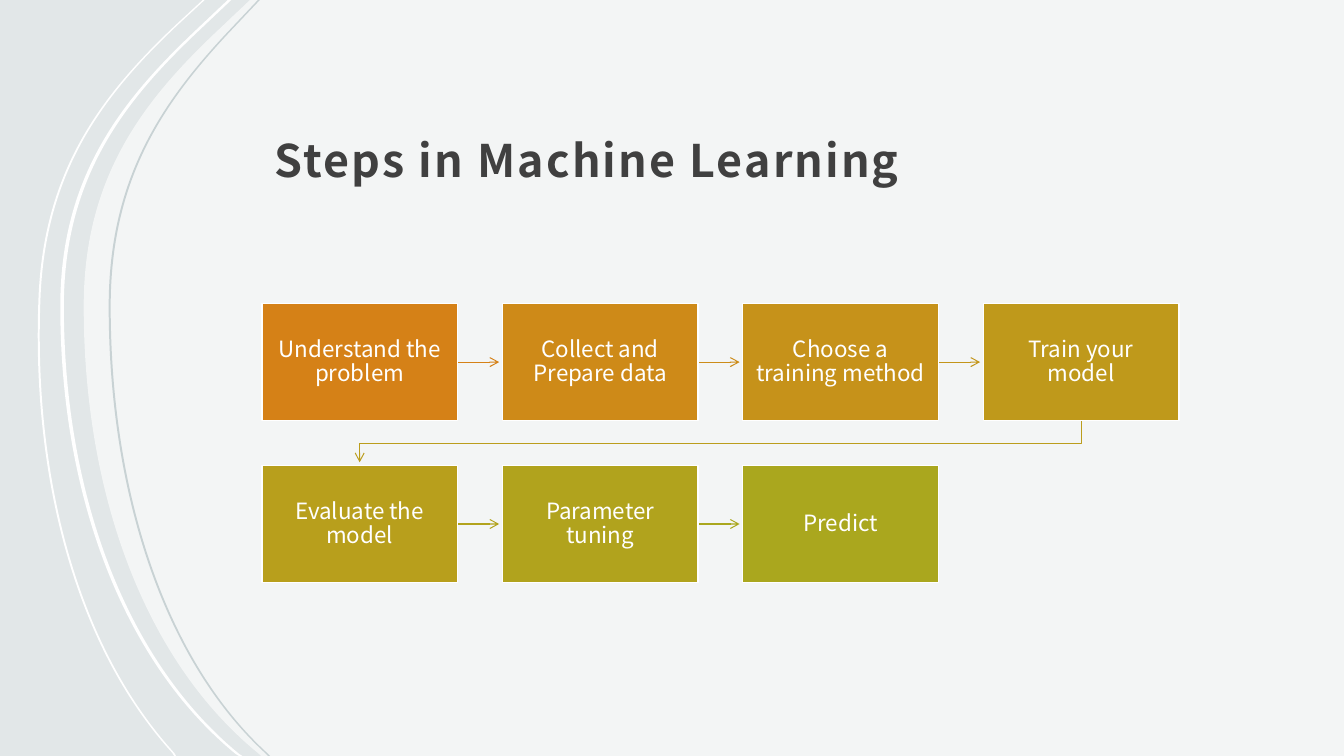
import pptx
import pptx.util
import pptx.dml.color
import pptx.enum.shapes
import pptx.enum.text
import pptx.oxml.ns
from lxml import etree

Cm, Pt = pptx.util.Cm, pptx.util.Pt
qn = pptx.oxml.ns.qn

# Content
FONT = "Noto Sans CJK JP"
HEADING = "Steps in Machine Learning"
STEPS = [  # label, box colour, colour of the arrow to the next step
    ("Understand the problem", "D58117", "D58117"),
    ("Collect and Prepare data", "CE8A18", "CC8C19"),
    ("Choose a training method", "C6921A", "C3951A"),
    ("Train your model", "BF991B", "BB9D1C"),
    ("Evaluate the model", "B89F1C", "B2A31D"),
    ("Parameter tuning", "B1A31D", "AAA71E"),
    ("Predict", "AAA71E", None),
]

# Curved edges in cm: top, shoulder, two controls, belly, two controls, foot, bottom
PANEL_EDGE = [(6.3, 0), (5.36, 0.89), (3.53, 2.64), (2.11, 4.55), (2.11, 7.72),
              (2.11, 12.5), (3.68, 16.69), (6.53, 19), (6.58, 19.05)]
RIBBONS = [  # edge, width, colour
    ([(5.11, 0), (4.45, 0.61), (2.59, 2.36), (1.09, 4.27), (0.97, 7.54),
      (0.79, 12.19), (1.98, 16.38), (4.34, 18.97), (4.39, 19.05)], 0.05, "FFFFFF"),
    ([(5.74, 0), (4.8, 0.89), (2.97, 2.64), (1.52, 4.55), (1.52, 7.72),
      (1.52, 12.5), (3.12, 16.69), (5.94, 19), (6.02, 19.05)], 0.09, "FFFFFF"),
    ([(6.5, 0), (5.66, 0.89), (4.04, 2.64), (2.74, 4.55), (2.74, 7.72),
      (2.74, 12.5), (4.17, 16.69), (6.71, 19), (6.76, 19.05)], 0.05, "C8D2D4"),
]

# Layout in cm
SLIDE_W, SLIDE_H = 33.87, 19.05
COLUMNS = 4
GRID_LEFT, GRID_TOP = 6.6, 7.65
BOX_W, BOX_H = 4.93, 2.95
PITCH_X, PITCH_Y = 6.06, 4.08
ARROW, ARROW_BAND = 1.05, 0.25
WRAP_DROP = 0.57

deck = pptx.Presentation()
deck.slide_width, deck.slide_height = Cm(SLIDE_W), Cm(SLIDE_H)
slide = deck.slides.add_slide(deck.slide_layouts[6])


def paint(colour_format, hex_colour):
    colour_format.rgb = pptx.dml.color.RGBColor.from_string(hex_colour)


def fill(target, hex_colour):
    target.fill.solid()
    paint(target.fill.fore_color, hex_colour)


def trace(points, closed):
    emu = [(Cm(x), Cm(y)) for x, y in points]
    builder = slide.shapes.build_freeform(*emu[0])
    builder.add_line_segments(emu[1:], close=closed)
    outline = builder.convert_to_shape()
    outline.shadow.inherit = False
    return outline


def region(segments, hex_colour):
    """Outline of segments: one point is a line, three points a curve."""
    area = trace([segment[-1] for segment in segments], True)
    strokes = area._element.spPr.findall(".//" + qn("a:lnTo"))
    for stroke, segment in zip(strokes, segments[1:]):
        if len(segment) == 3:
            stroke.tag  # the straight stroke gives way to a curve
            curve = etree.Element(qn("a:cubicBezTo"))
            for x, y in segment:
                etree.SubElement(curve, qn("a:pt"), x=str(Cm(x) - area.left),
                                 y=str(Cm(y) - area.top))
            stroke.getparent().replace(stroke, curve)
    fill(area, hex_colour)
    area.line.fill.background()
    return area


def edge_segments(edge):
    return [edge[:1], edge[1:2], edge[2:5], edge[5:8], edge[8:]]


def draw_arrow(points, hex_colour):
    arrow = trace(points, False)
    if arrow.height == 0:  # a level arrow runs midway through a shallow band
        band = Cm(ARROW_BAND)
        arrow.top, arrow.height = arrow.top - band // 2, band
        outline = arrow._element.spPr.find(".//" + qn("a:path"))
        outline.set("h", str(band))
        for point in outline.iter(qn("a:pt")):
            point.set("y", str(band // 2))
    arrow.fill.background()
    paint(arrow.line.color, hex_colour)
    arrow.line.width = Pt(0.75)
    line = arrow._element.spPr.find(qn("a:ln"))
    etree.SubElement(line, qn("a:tailEnd"), type="arrow")


def write(shape, text, size, hex_colour, anchor, margins, spacing):
    frame = shape.text_frame
    frame.word_wrap = True
    frame.vertical_anchor = anchor
    (frame.margin_left, frame.margin_top,
     frame.margin_right, frame.margin_bottom) = map(Cm, margins)
    paragraph = frame.paragraphs[0]
    paragraph.text = text
    paragraph.line_spacing = spacing
    paragraph.font.name, paragraph.font.size = FONT, Pt(size)
    paint(paragraph.font.color, hex_colour)
    return paragraph


# Background, pale panel and ribbons
fill(slide.background, "E2E7E8")
corners = [[(SLIDE_W, SLIDE_H)], [(SLIDE_W, 0)]]
panel = region(edge_segments(PANEL_EDGE) + corners, "FFFFFF")
panel_colour = panel._element.spPr.find(".//" + qn("a:srgbClr"))
etree.SubElement(panel_colour, qn("a:alpha"), val="60000")
for edge, width, colour in RIBBONS:
    far_edge = [(x + width, y) for x, y in reversed(edge)]
    region(edge_segments(edge) + edge_segments(far_edge), colour)

# Heading
heading_box = slide.shapes.add_textbox(Cm(6.61), Cm(1.22), Cm(23.32), Cm(3.73))
heading = write(heading_box, HEADING, 32, "404040", pptx.enum.text.MSO_ANCHOR.BOTTOM,
                (0.31, 0.3, 0.3, 0.25), 1.3)
heading.font.bold = True
heading.runs[0].font._element.set("spc", "150")

# Steps, row by row, each with its arrow to the next
for index, (label, box_colour, arrow_colour) in enumerate(STEPS):
    row, column = divmod(index, COLUMNS)
    left, top = GRID_LEFT + column * PITCH_X, GRID_TOP + row * PITCH_Y
    if arrow_colour:
        right, middle = left + BOX_W, top + BOX_H / 2
        if column < COLUMNS - 1:
            route = [(right, middle), (right + ARROW, middle)]
        else:
            start, target = left + BOX_W / 2, GRID_LEFT + BOX_W / 2
            bottom = top + BOX_H
            route = [(start, bottom), (start, bottom + WRAP_DROP),
                     (target, bottom + WRAP_DROP), (target, bottom + ARROW)]
        draw_arrow(route, arrow_colour)
    step = slide.shapes.add_shape(pptx.enum.shapes.MSO_SHAPE.RECTANGLE,
                                  Cm(left), Cm(top), Cm(BOX_W), Cm(BOX_H))
    step.shadow.inherit = False
    fill(step, box_colour)
    paint(step.line.color, "FFFFFF")
    step.line.width = Pt(1)
    caption = write(step, label, 16, "FFFFFF", pptx.enum.text.MSO_ANCHOR.MIDDLE,
                    (0.24, 0.25, 0.24, 0.25), 0.9)
    caption.alignment = pptx.enum.text.PP_ALIGN.CENTER

deck.save("out.pptx")
